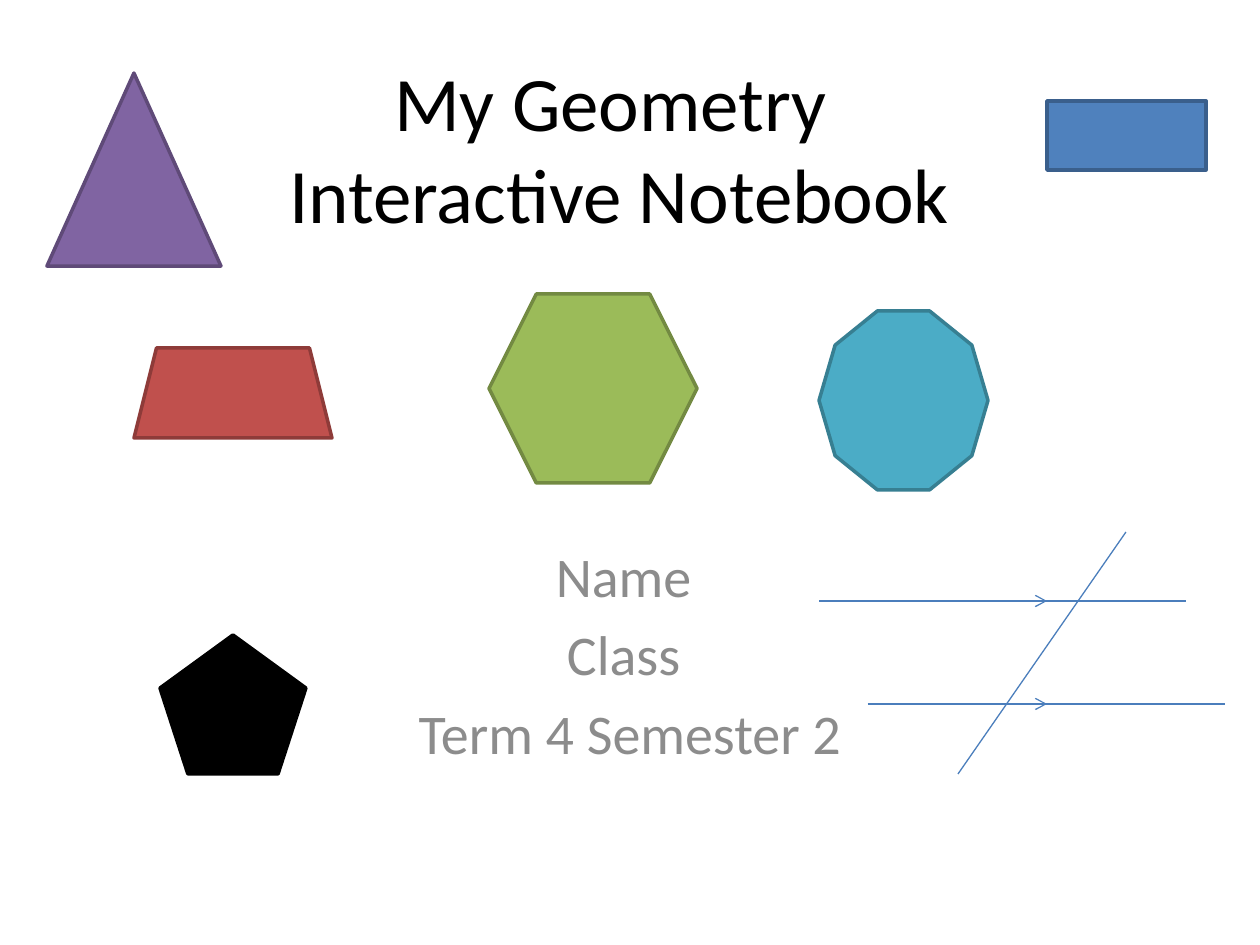
from pptx import Presentation
from pptx.dml.color import RGBColor
from pptx.enum.shapes import MSO_CONNECTOR, MSO_SHAPE
from pptx.enum.text import MSO_ANCHOR, PP_ALIGN
from pptx.oxml.ns import qn
from pptx.util import Emu, Pt
from lxml import etree

EMU_PER_PX = 914400 / 126
CENTER = PP_ALIGN.CENTER
MIDDLE, TOP = MSO_ANCHOR.MIDDLE, MSO_ANCHOR.TOP
STRAIGHT = MSO_CONNECTOR.STRAIGHT
LINE_BLUE = "4B7EBC"

# preset, left, top, width, height, fill, outline
POLYGONS = [
    (MSO_SHAPE.ISOSCELES_TRIANGLE, 47, 73, 174, 193, "8064A2", "5F4A78"),
    (MSO_SHAPE.TRAPEZOID, 134, 348, 198, 90, "C0504D", "8E3B39"),
    (MSO_SHAPE.HEXAGON, 489, 294, 208, 189, "9BBB59", "738A42"),
    (MSO_SHAPE.DECAGON, 819, 311, 169, 179, "4BACC6", "377F92"),
    (MSO_SHAPE.RECTANGLE, 1047, 101, 159, 69, "4F81BD", "3A5F8C"),
    (MSO_SHAPE.REGULAR_PENTAGON, 160, 635, 146, 139, "000000", "000000"),
]

# start x, start y, end x, end y, has arrowhead
LINES = [
    (848, 601, 1047, 601, True),
    (819, 601, 1186, 601, False),
    (868, 704, 1225, 704, False),
    (868, 704, 1047, 704, True),
    (1126, 532, 958, 774, False),
]


def px(length):
    return Emu(round(length * EMU_PER_PX))


def color(hex_code):
    return RGBColor.from_string(hex_code)


def fill_placeholder(placeholder, box, paragraphs, size, hex_code, anchor, gap=0):
    """Place a placeholder and write centred paragraphs, with a gap in points between them."""
    placeholder.left, placeholder.top, placeholder.width, placeholder.height = map(px, box)
    frame = placeholder.text_frame
    frame.word_wrap = True
    frame.vertical_anchor = anchor
    frame.text = "\n".join(paragraphs)
    for index, paragraph in enumerate(frame.paragraphs):
        paragraph.alignment = CENTER
        paragraph.space_before = Pt(gap if index else 0)
        paragraph.font.size = Pt(size)
        paragraph.font.name = "Calibri"
        paragraph.font.color.rgb = color(hex_code)


def add_polygon(slide, preset, left, top, width, height, fill, outline):
    shape = slide.shapes.add_shape(preset, px(left), px(top), px(width), px(height))
    shape.shadow.inherit = False
    shape.fill.solid()
    shape.fill.fore_color.rgb = color(fill)
    shape.line.color.rgb = color(outline)
    shape.line.width = Pt(2)


def add_line(slide, start_x, start_y, end_x, end_y, has_arrow):
    connector = slide.shapes.add_connector(
        STRAIGHT, px(start_x), px(start_y), px(end_x), px(end_y))
    connector.line.color.rgb = color(LINE_BLUE)
    connector.line.width = Pt(0.75)
    if has_arrow:
        line = connector.line._get_or_add_ln()
        etree.SubElement(line, qn("a:tailEnd"), type="arrow")
    etree.SubElement(connector._element.spPr, qn("a:effectLst"))


def main():
    presentation = Presentation()
    presentation.slide_width, presentation.slide_height = px(1260), px(945)
    slide = presentation.slides.add_slide(presentation.slide_layouts[0])
    title, subtitle = slide.placeholders
    fill_placeholder(title, (84, 45, 1071, 203), ["My Geometry \vInteractive Notebook"],
                     44, "000000", MIDDLE)
    fill_placeholder(subtitle, (189, 535, 882, 242), ["Name ", "Class ", "Term 4 Semester 2"],
                     32, "8C8C8C", TOP, gap=6.4)
    for polygon in POLYGONS:
        add_polygon(slide, *polygon)
    for line in LINES:
        add_line(slide, *line)
    presentation.save("out.pptx")


if __name__ == "__main__":
    main()
